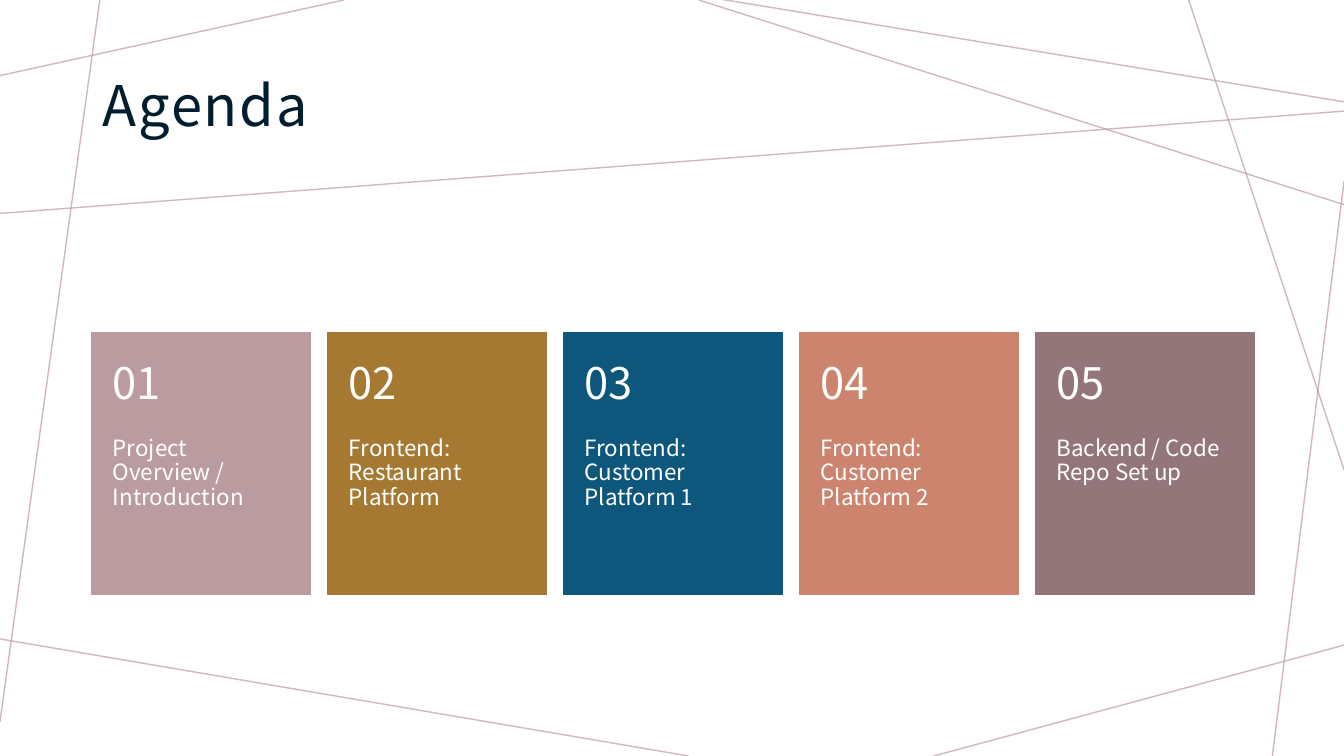
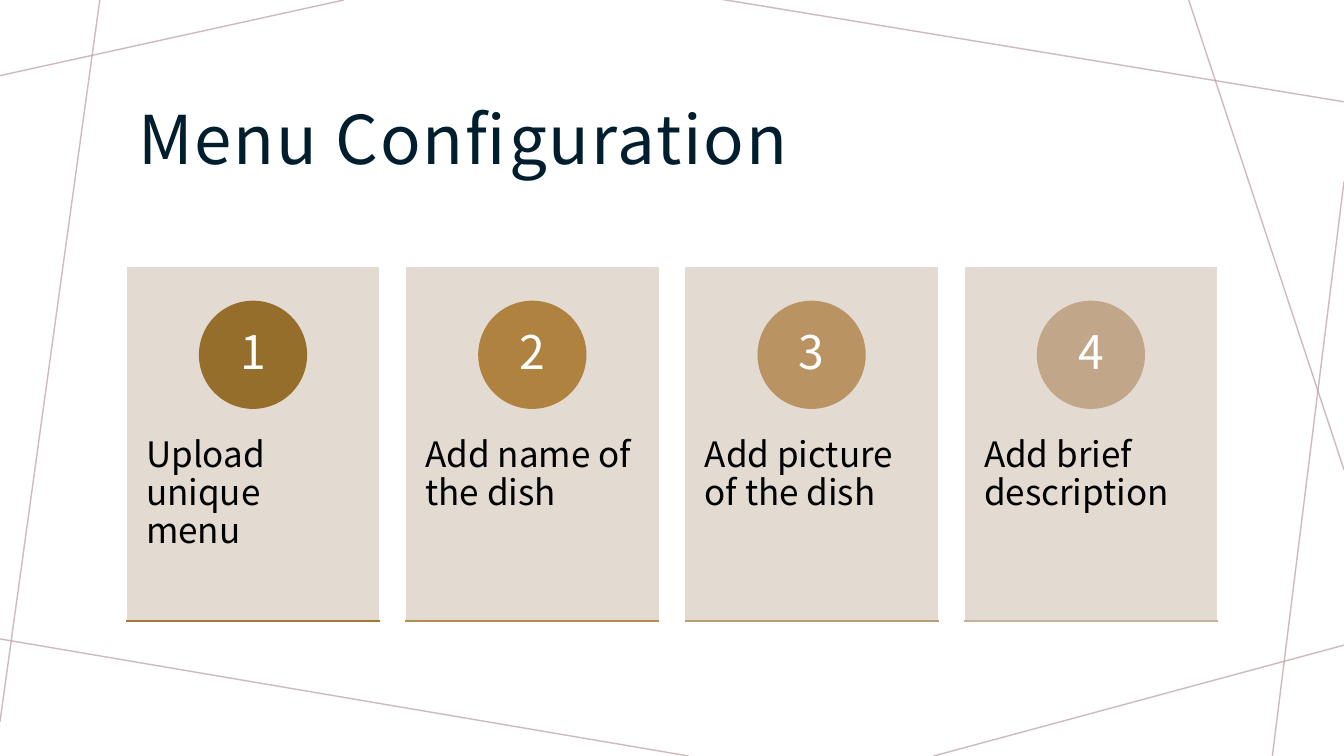
import pptx
import pptx.util
import pptx.dml.color
import pptx.enum.shapes
import pptx.enum.text
import pptx.oxml.ns
from lxml import etree

Inches = pptx.util.Inches
Pt = pptx.util.Pt
RGBColor = pptx.dml.color.RGBColor
MSO_SHAPE = pptx.enum.shapes.MSO_SHAPE
ANCHOR = pptx.enum.text.MSO_ANCHOR
ALIGN = pptx.enum.text.PP_ALIGN
qn = pptx.oxml.ns.qn

FONT = "Noto Sans CJK SC"
NAVY = RGBColor(0x00, 0x1E, 0x2E)
WHITE = RGBColor(0xFF, 0xFF, 0xFF)
BLACK = RGBColor(0x00, 0x00, 0x00)
ROSE = RGBColor(0xBA, 0x9C, 0xA0)
OCHRE = RGBColor(0xA5, 0x79, 0x31)
BLUE = RGBColor(0x0E, 0x57, 0x7C)
CORAL = RGBColor(0xCC, 0x84, 0x6E)
MAUVE = RGBColor(0x93, 0x76, 0x7A)
SAND = RGBColor(0xE1, 0xD7, 0xCE)
# Each step goes one tone paler: circle colours, then base line colours
CIRCLE_TONES = [RGBColor(0x96, 0x6E, 0x2C), RGBColor(0xAF, 0x82, 0x40),
                RGBColor(0xBA, 0x93, 0x63), RGBColor(0xC1, 0xA6, 0x89)]
BASE_TONES = [RGBColor(0xA3, 0x78, 0x36), RGBColor(0xB8, 0x8B, 0x4E),
              RGBColor(0xBD, 0x9D, 0x77), RGBColor(0xC6, 0xB1, 0x9B)]

# Background lines: x1, y1, x2, y2
FRAME_LINES = [
    (3.41, 0, 0, 0.75), (0.99, 0, 0, 7.16), (6.83, 7.5, -0.05, 6.33),
    (13.33, 6.4, 9.26, 7.5), (13.33, 1.8, 12.62, 7.5),
    (13.33, 4.66, 11.79, 0), (13.33, 1.01, 7.14, -0.01),
]
AGENDA_LINES = [(6.93, 0, 13.33, 2.03), (-0.03, 2.12, 13.36, 1.1)]

AGENDA = [
    ("Project Overview / Introduction", ROSE),
    ("Frontend: Restaurant Platform", OCHRE),
    ("Frontend: Customer Platform 1", BLUE),
    ("Frontend: Customer Platform 2", CORAL),
    ("Backend / Code Repo Set up", MAUVE),
]
STEPS = ["Upload unique menu", "Add name of the dish",
         "Add picture of the dish", "Add brief description"]


def set_opacity(element, percent):
    for clr in element.iter(qn("a:srgbClr")):
        etree.SubElement(clr, qn("a:alpha"), val=str(percent * 1000))


def add_line(slide, ends, color, opacity=100):
    line = slide.shapes.add_connector(
        pptx.enum.shapes.MSO_CONNECTOR.STRAIGHT, *map(Inches, ends))
    line.line.color.rgb = color
    line.line.width = Pt(1)
    sp_pr = line._element.spPr
    if opacity < 100:
        set_opacity(sp_pr, opacity)
    etree.SubElement(sp_pr, qn("a:effectLst"))


def add_shape(slide, kind, box, fill, outline):
    sp = slide.shapes.add_shape(kind, *map(Inches, box))
    sp.shadow.inherit = False
    sp.fill.solid()
    sp.fill.fore_color.rgb = fill
    sp.line.color.rgb = outline
    sp.line.width = Pt(1)
    return sp


def write(sp, text, size, color, insets, anchor=ANCHOR.TOP,
          align=ALIGN.LEFT, spacing=0.9):
    """Fill a shape with one paragraph; insets are left, top, right, bottom."""
    tf = sp.text_frame
    tf.word_wrap = True
    tf.vertical_anchor = anchor
    tf.margin_left, tf.margin_top, tf.margin_right, tf.margin_bottom = map(
        Inches, insets)
    p = tf.paragraphs[0]
    p.text = text
    p.alignment = align
    p.line_spacing = spacing
    r = p.runs[0]
    r.font.name = FONT
    r.font.size = Pt(size)
    r.font.color.rgb = color
    return r


def add_text(slide, box, *args, **kwargs):
    return write(slide.shapes.add_textbox(*map(Inches, box)), *args, **kwargs)


def add_slide(prs, title, title_box, title_size, extra_lines=()):
    """Add a blank slide with the background lines and a title."""
    slide = prs.slides.add_slide(prs.slide_layouts[6])
    for ends in [*FRAME_LINES, *extra_lines]:
        add_line(slide, ends, ROSE, opacity=70)
    r = add_text(slide, title_box, title, title_size, NAVY,
                 (0.12, 0.12, 0.12, 0.1), ANCHOR.MIDDLE, spacing=1.05)
    r.font._element.set("spc", "130")
    return slide


def add_agenda_card(slide, x, number, text, color):
    top, width, height, head = 3.3, 2.17, 2.6, 1.04
    add_shape(slide, MSO_SHAPE.RECTANGLE, (x, top, width, height), color, color)
    add_text(slide, (x, top, width, head), f"{number:02}", 31, WHITE,
             (0.21, 0.18, 0.21, 0.18), ANCHOR.MIDDLE)
    add_text(slide, (x, top + head, width, height - head), text, 16, WHITE,
             (0.21, 0, 0.21, 0.36))


def add_step_card(slide, x, number, text, circle_color, base_color):
    top, width, height, circle = 2.64, 2.52, 3.53, 1.06
    card = add_shape(slide, MSO_SHAPE.RECTANGLE, (x, top, width, height),
                     SAND, WHITE)
    set_opacity(card.fill._xPr.find(qn("a:solidFill")), 90)
    add_text(slide, (x, 3.98, width, 2.12), text, 25, BLACK,
             (0.2, 0.36, 0.2, 0.36))
    badge = add_shape(slide, MSO_SHAPE.OVAL,
                      (x + (width - circle) / 2, top + 0.35, circle, circle),
                      circle_color, circle_color)
    write(badge, str(number), 33, WHITE, (0, 0, 0, 0), ANCHOR.MIDDLE,
          ALIGN.CENTER)
    add_line(slide, (x, 6.16, x + width, 6.16), base_color)


def build_agenda(prs):
    slide = add_slide(prs, "Agenda", (0.9, 0.46, 9.03, 1.1), 40, AGENDA_LINES)
    for i, (text, color) in enumerate(AGENDA):
        add_agenda_card(slide, 0.91 + 2.34 * i, i + 1, text, color)


def build_menu_configuration(prs):
    slide = add_slide(prs, "Menu Configuration", (1.25, 0.58, 10.83, 1.51), 48)
    for i, step in enumerate(zip(STEPS, CIRCLE_TONES, BASE_TONES)):
        add_step_card(slide, 1.25 + 2.77 * i, i + 1, *step)


def main():
    prs = pptx.Presentation()
    prs.slide_width = Inches(13.33)
    prs.slide_height = Inches(7.5)
    build_agenda(prs)
    build_menu_configuration(prs)
    prs.save("out.pptx")


if __name__ == "__main__":
    main()
